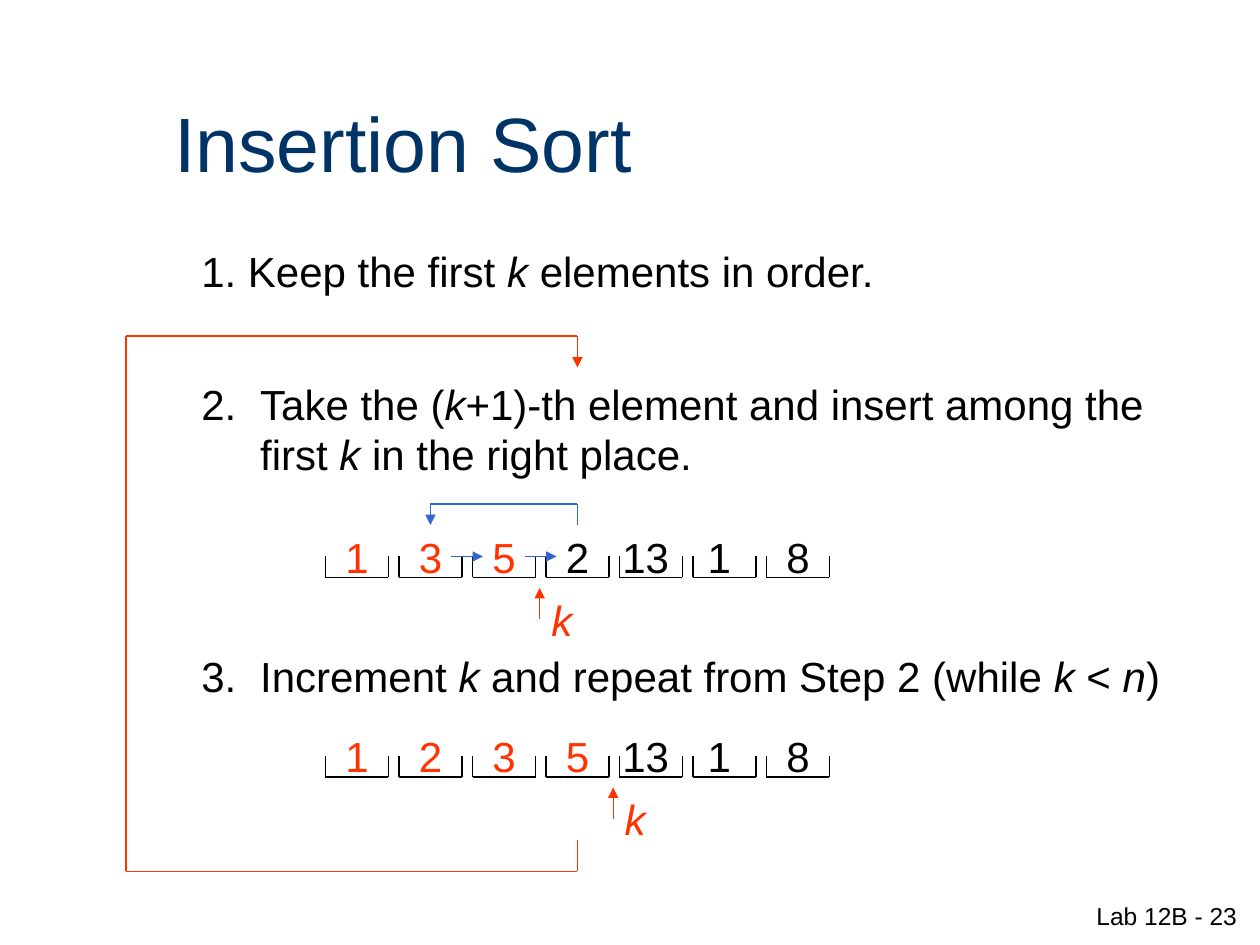
import dataclasses

import pptx
import pptx.dml.color
import pptx.enum.shapes
import pptx.enum.text
import pptx.oxml
import pptx.oxml.ns
import pptx.util


@dataclasses.dataclass(frozen=True)
class Theme:
    font: str = "Arial"
    title: str = "003366"
    ink: str = "000000"
    hot: str = "FF3300"
    move: str = "3366CC"
    title_size: int = 44
    body_size: int = 24
    footer_size: int = 14
    line_width: float = 0.75


THEME = Theme()
ALIGN = pptx.enum.text.PP_ALIGN
ANCHOR = pptx.enum.text.MSO_ANCHOR
COLUMNS = 120
UNIT = pptx.util.Inches(10) // COLUMNS
CELL_LEFT, CELL_WIDTH, CELL_PITCH = 31, 6, 7


def grid(n):
    return round(n * UNIT)


def style(p, size, color, italic=None, align=ALIGN.LEFT):
    p.alignment = align
    p.font.name = THEME.font
    p.font.size = pptx.util.Pt(size)
    p.font.color.rgb = pptx.dml.color.RGBColor.from_string(color)
    p.font.italic = italic


def add_frame(slide, left, top, width, height, anchor=ANCHOR.TOP):
    box = slide.shapes.add_textbox(*map(grid, (left, top, width, height)))
    tf = box.text_frame
    tf.word_wrap = True
    tf.vertical_anchor = anchor
    return tf


def add_label(slide, text, place, size, color, align=ALIGN.CENTER,
              italic=None, anchor=ANCHOR.TOP):
    p = add_frame(slide, *place, anchor=anchor).paragraphs[0]
    p.add_run().text = text
    style(p, size, color, italic, align)


def add_path(shapes, points, color, arrow=False):
    for start, end in zip(points, points[1:]):
        line = shapes.add_connector(
            pptx.enum.shapes.MSO_CONNECTOR.STRAIGHT, *map(grid, start + end))
        line.line.color.rgb = pptx.dml.color.RGBColor.from_string(color)
        line.line.width = pptx.util.Pt(THEME.line_width)
        props = line.element.spPr
        props.append(pptx.oxml.parse_xml(
            f"<a:effectLst {pptx.oxml.ns.nsdecls('a')}/>"))
        if arrow and end == points[-1]:
            props.find(pptx.oxml.ns.qn("a:ln")).append(pptx.oxml.parse_xml(
                f"<a:tailEnd {pptx.oxml.ns.nsdecls('a')} type='triangle'/>"))


def add_steps(slide, steps):
    tf = add_frame(slide, 12, 22.8, 102, 59.3)
    for i, (before, hanging, parts) in enumerate(steps):
        p = tf.paragraphs[0] if i == 0 else tf.add_paragraph()
        style(p, THEME.body_size, THEME.ink)
        p.space_before = pptx.util.Pt(before)
        props = p._p.get_or_add_pPr()
        props.set("marL", str(grid(6 + hanging)))
        props.set("indent", str(grid(-hanging)))
        for n, part in enumerate(parts):
            r = p.add_run()
            r.text = part
            if n % 2:
                r.font.italic = True


def add_array(slide, top, values, k):
    overhang = {4: (2, 1), 5: (2, 1), values.index("3"): (1, 1)}
    for i, value in enumerate(values):
        left = CELL_LEFT + i * CELL_PITCH
        right = left + CELL_WIDTH
        add_path(slide.shapes.add_group_shape().shapes,
                 [(left, top + 3), (left, top + 5),
                  (right, top + 5), (right, top + 3)], THEME.ink)
        before, after = overhang.get(i, (0, 0))
        add_label(slide, value,
                  (left - before, top, CELL_WIDTH + before + after, 6),
                  THEME.body_size, THEME.hot if i < k else THEME.ink)
    marker = CELL_LEFT + k * CELL_PITCH - 3
    add_path(slide.shapes, [(marker + 2.4, top + 9), (marker + 2.4, top + 6)],
             THEME.hot, arrow=True)
    add_label(slide, "k", (marker, top + 6, 9, 6), THEME.body_size,
              THEME.hot, italic=True)


def main():
    prs = pptx.Presentation()
    prs.slide_width, prs.slide_height = map(pptx.util.Inches, (10, 7.5))
    slide = prs.slides.add_slide(prs.slide_layouts[6])

    add_label(slide, "Lab 12B - 23", (94, 85.2, 25, 6), THEME.footer_size,
              THEME.ink, ALIGN.RIGHT)
    add_label(slide, "Insertion Sort", (15.4, 6, 102, 15), THEME.title_size,
              THEME.title, ALIGN.LEFT, anchor=ANCHOR.MIDDLE)
    add_steps(slide, [
        (0, 3.7, ["1. Keep the first ", "k", " elements in order."]),
        (47, 5.6, ["2.\tTake the (", "k",
                   "+1)-th element and insert among the first ", "k",
                   " in the right place."]),
        (98, 5.6, ["3.\tIncrement ", "k", " and repeat from Step 2 (while ",
                   "k", " < ", "n", ")"]),
    ])

    add_array(slide, 50, ["1", "3", "5", "2", "13", "1", "8"], k=3)
    add_array(slide, 69, ["1", "2", "3", "5", "13", "1", "8"], k=4)

    add_path(slide.shapes, [(55, 80), (55, 83), (12, 83), (12, 32),
                            (55, 32), (55, 35)], THEME.hot, arrow=True)
    add_path(slide.shapes, [(55, 50), (55, 48), (41, 48), (41, 50)],
             THEME.move, arrow=True)
    for left in (43, 50):
        add_path(slide.shapes, [(left, 53), (left + 3, 53)],
                 THEME.move, arrow=True)
    prs.save("out.pptx")


if __name__ == "__main__":
    main()
